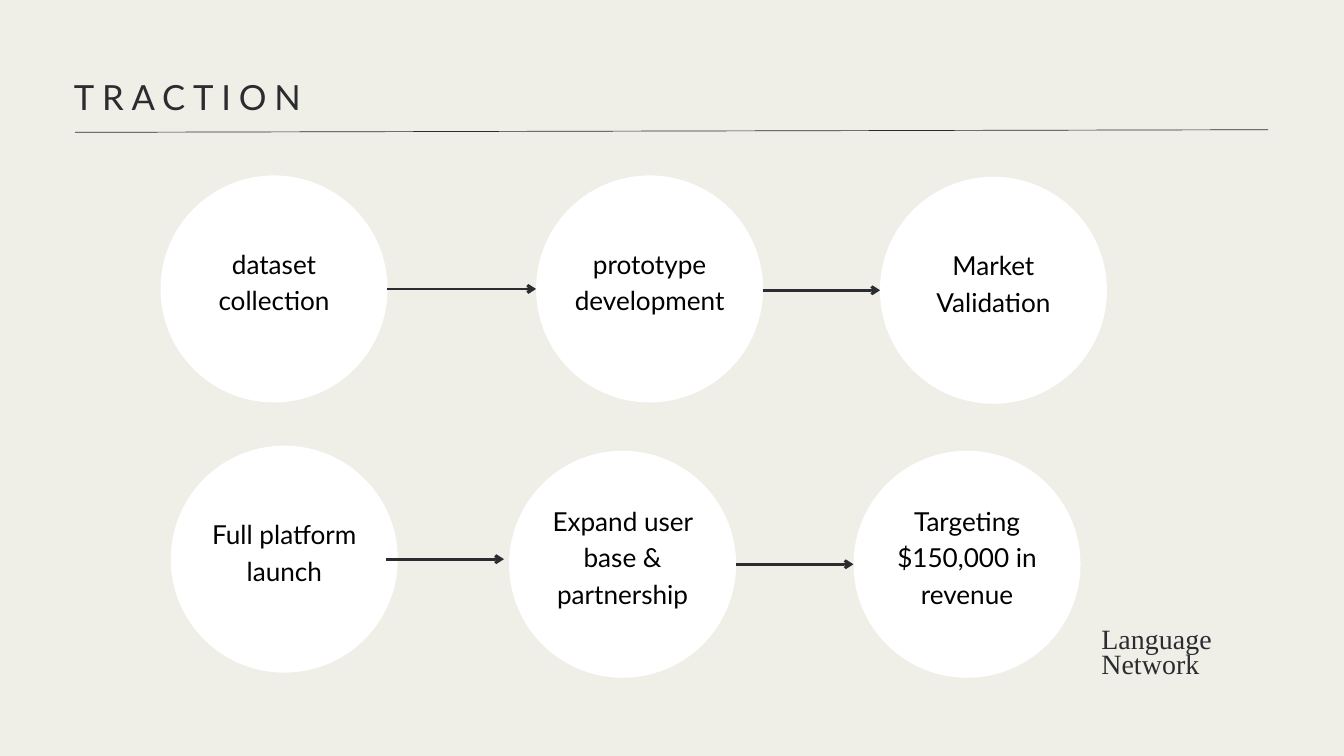
from lxml.etree import SubElement
from pptx import Presentation
from pptx.dml.color import RGBColor
from pptx.enum.shapes import MSO_CONNECTOR, MSO_SHAPE
from pptx.enum.text import MSO_ANCHOR, PP_ALIGN
from pptx.oxml.ns import qn
from pptx.util import Pt

PAPER = RGBColor(0xEF, 0xEE, 0xE7)
INK = RGBColor(0x2B, 0x2C, 0x30)
WHITE = RGBColor(0xFF, 0xFF, 0xFF)
BLACK = RGBColor(0x00, 0x00, 0x00)

# Content, all lengths in points
TITLE = "TRACTION"
SIGNATURE = ["Language", "Network"]
DIAMETER = 243.2
MILESTONES = [  # text, left, top
    ("dataset collection", 172, 188),
    ("prototype development", 574.4, 188),
    ("Market Validation", 942.8, 189.4),
    ("Full platform launch", 183, 477.5),
    ("Expand user base & partnership", 545.5, 483),
    ("Targeting $150,000 in revenue", 914.5, 483),
]
ARROWS = [  # start x, end x, y
    (414.8, 574.4, 309.6),
    (817.4, 943, 311),
    (414, 540, 599.1),
    (788.6, 914.4, 604.6),
]


def add_line(slide, x1, y1, x2, y2, width, arrow=False):
    line = slide.shapes.add_connector(
        MSO_CONNECTOR.STRAIGHT, Pt(x1), Pt(y1), Pt(x2), Pt(y2))
    line.line.color.rgb = INK
    line.line.width = Pt(width)
    if arrow:
        SubElement(line.line._get_or_add_ln(), qn("a:tailEnd"), type="arrow")
    SubElement(line._element.spPr, qn("a:effectLst"))


def place(shape, left, top, width, height):
    shape.left, shape.top = Pt(left), Pt(top)
    shape.width, shape.height = Pt(width), Pt(height)


def write(shape, lines, font, size, color, spacing, align=PP_ALIGN.LEFT,
          anchor=MSO_ANCHOR.TOP, bottom=0, tracking=None):
    frame = shape.text_frame
    frame.word_wrap = True
    frame.vertical_anchor = anchor
    frame.margin_left = frame.margin_top = frame.margin_right = 0
    frame.margin_bottom = Pt(bottom)
    frame.text = "\n".join(lines)
    for paragraph in frame.paragraphs:
        paragraph.alignment = align
        paragraph.line_spacing = Pt(spacing)
        paragraph.font.name = font
        paragraph.font.size = Pt(size)
        paragraph.font.color.rgb = color
        if tracking:
            for run in paragraph.runs:
                run._r.get_or_add_rPr().set("spc", str(round(tracking * 100)))


def main():
    deck = Presentation()
    deck.slide_width, deck.slide_height = Pt(1440), Pt(810)
    slide = deck.slides.add_slide(deck.slide_layouts[5])
    slide.background.fill.solid()
    slide.background.fill.fore_color.rgb = PAPER

    # Heading and rule
    title = slide.shapes.title
    place(title, 79.2, 74.2, 1278, 51)
    write(title, [TITLE], "Lato", 37.1, INK, 52, tracking=8.4)
    add_line(slide, 80.6, 141.8, 1358.6, 139, 0.75)

    # Milestones, with text set slightly above the centre
    for text, left, top in MILESTONES:
        circle = slide.shapes.add_shape(
            MSO_SHAPE.OVAL, Pt(left), Pt(top), Pt(DIAMETER), Pt(DIAMETER))
        circle.shadow.inherit = False
        circle.fill.solid()
        circle.fill.fore_color.rgb = WHITE
        circle.line.fill.background()
        write(circle, [text], "Lato", 28, BLACK, 39.2,
              PP_ALIGN.CENTER, MSO_ANCHOR.MIDDLE, bottom=20)

    # Arrows between milestones
    for start, end, y in ARROWS:
        add_line(slide, start, y, end, y, 3, arrow=True)

    # Signature
    signature = slide.shapes.add_textbox(Pt(1180), Pt(674.6), Pt(132.5), Pt(61.2))
    write(signature, SIGNATURE, "Times New Roman", 29.9, INK, 27.2, tracking=0.1)

    deck.save("out.pptx")


if __name__ == "__main__":
    main()
